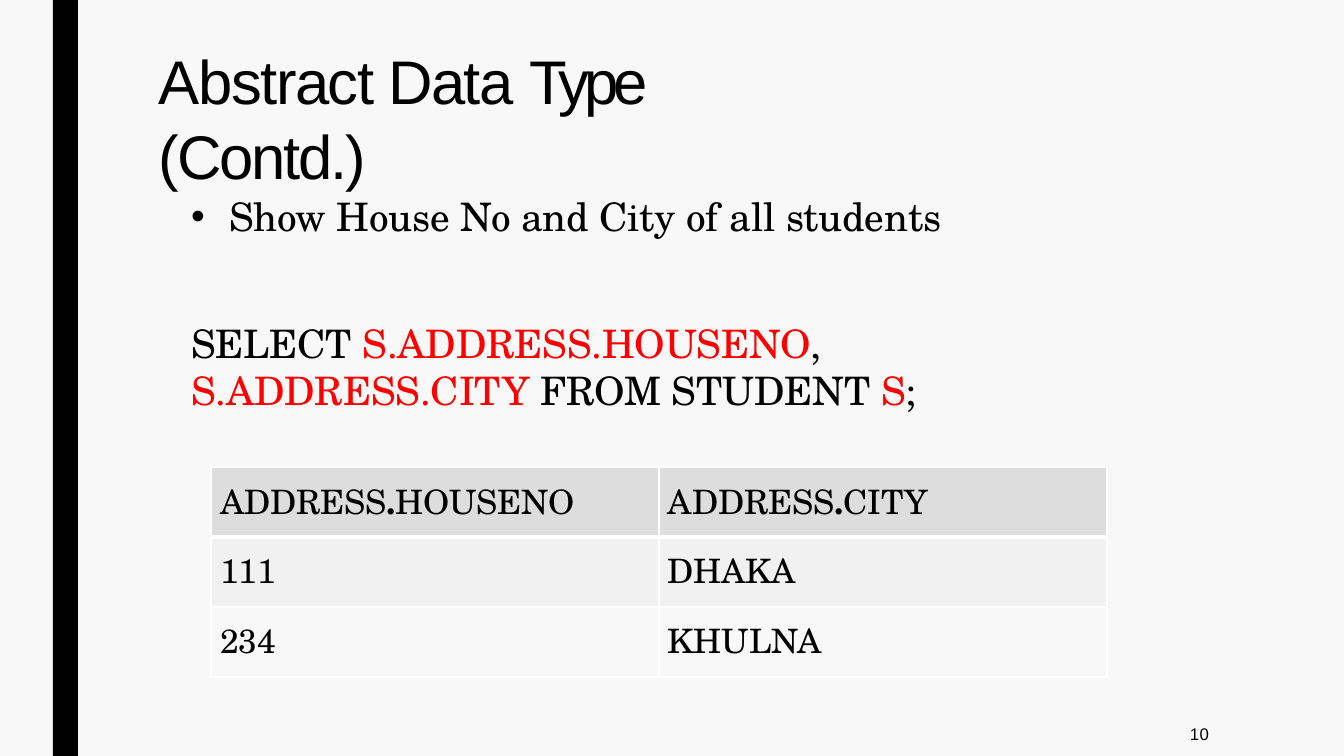
from lxml.etree import SubElement
from pptx import Presentation
from pptx.dml.color import RGBColor
from pptx.enum.shapes import MSO_SHAPE
from pptx.enum.text import MSO_ANCHOR, MSO_AUTO_SIZE, PP_ALIGN
from pptx.oxml.ns import qn
from pptx.util import Pt

BLACK, RED, WHITE, PAPER = "000000", "FF0000", "FFFFFF", "F8F8F8"
SANS, SERIF = "Arial", "TeX Gyre Schola"

TITLE = [("Abstract Data ", {"spacing": -1.1}),
         ("Type ", {"spacing": -3.7}),
         ("(Contd.)", {"spacing": -1.6})]
TASK = [("Show House No and City of all students", {})]
QUERY = [("SELECT ", {}), ("S.ADDRESS.HOUSENO", {"color": RED}), (", ", {}),
         ("S.ADDRESS.CITY", {"color": RED}), (" FROM STUDENT ", {}),
         ("S", {"color": RED}), (";", {})]
RESULT = [
    ("DDDDDD", [[("ADDRESS", {}), (".", {"bold": True}), (name, {})]
                for name in ("HOUSENO", "CITY")]),
    ("F1F1F1", [[("111", {})], [("DHAKA", {})]]),
    (PAPER, [[("234", {})], [("KHULNA", {})]]),
]
PAGE = [("10", {"spacing": 0.3})]

TITLE_FONT = {"name": SANS, "size": Pt(44), "bold": False}
BODY_FONT = {"name": SERIF, "size": Pt(28), "bold": False}
CELL_FONT = {"name": SERIF, "size": Pt(24), "bold": False}
PAGE_FONT = {"name": SANS, "size": Pt(12), "bold": False}
FLUSH = {"alignment": PP_ALIGN.LEFT, "space_before": Pt(0), "space_after": Pt(0)}

SLIDE_SIZE = (1344, 756)
BAR_BOX = (53, 0, 25, 756)
TITLE_BOX = (158, 42, 708, 77)
BODY_BOX = (176, 176, 975, 290)
TABLE_BOX = (211, 467, 896, 210)
PAGE_BOX = (1186, 724, 28, 22)


def px(length):
    return round(length * 914400 / 100.8)


def rgb(code):
    return RGBColor.from_string(code)


def apply(target, values):
    for key, value in values.items():
        setattr(target, key, value)


def place(part, box):
    apply(part, dict(zip(("left", "top", "width", "height"), map(px, box))))


def frame_up(frame, top_inset):
    apply(frame, {"margin_left": 0, "margin_right": 0, "margin_bottom": 0,
                  "margin_top": px(top_inset), "word_wrap": True,
                  "auto_size": MSO_AUTO_SIZE.NONE,
                  "vertical_anchor": MSO_ANCHOR.TOP})


def write(paragraph, pieces, font, indent=0, hanging=0, bullet=None, **layout):
    apply(paragraph, {**FLUSH, **layout})
    props = paragraph._p.get_or_add_pPr()
    props.set("marL", str(px(indent)))
    props.set("indent", str(px(-hanging)))
    if bullet:
        SubElement(props, qn("a:buFont"), typeface=SANS)
        SubElement(props, qn("a:buChar"), char=bullet)
    else:
        SubElement(props, qn("a:buNone"))
    for text, style in pieces:
        run = paragraph.add_run()
        run.text = text
        apply(run.font, font)
        run.font.bold = style.get("bold", False)
        run.font.color.rgb = rgb(style.get("color", BLACK))
        spacing = style.get("spacing", -0.1)
        run._r.get_or_add_rPr().set("spc", str(round(spacing * 100)))


def outline(cell, widths):
    for side, width in widths.items():
        line = SubElement(cell._tc.get_or_add_tcPr(), qn("a:ln" + side),
                          w=str(Pt(width)))
        fill = SubElement(line, qn("a:solidFill"))
        SubElement(fill, qn("a:srgbClr"), val=WHITE)


deck = Presentation()
deck.slide_width, deck.slide_height = map(px, SLIDE_SIZE)
slide = deck.slides.add_slide(deck.slide_layouts[1])
slide.background.fill.solid()
slide.background.fill.fore_color.rgb = rgb(PAPER)

bar = slide.shapes.add_shape(MSO_SHAPE.RECTANGLE, *map(px, BAR_BOX))
bar.shadow.inherit = False
bar.fill.solid()
bar.fill.fore_color.rgb = rgb(BLACK)
bar.line.fill.background()

title, body = slide.placeholders
place(title, TITLE_BOX)
frame_up(title.text_frame, 1)
write(title.text_frame.paragraphs[0], TITLE, TITLE_FONT, indent=1,
      line_spacing=Pt(53))

place(body, BODY_BOX)
frame_up(body.text_frame, 16)
write(body.text_frame.paragraphs[0], TASK, BODY_FONT, indent=53, hanging=38,
      bullet="•")
write(body.text_frame.add_paragraph(), QUERY, BODY_FONT, indent=15,
      space_before=Pt(57))

result = slide.shapes.add_table(len(RESULT), 2, *map(px, TABLE_BOX)).table
apply(result, {"first_row": False, "horz_banding": False})
for row, (shade, entries) in enumerate(RESULT):
    for column, entry in enumerate(entries):
        cell = result.cell(row, column)
        apply(cell, {"margin_left": 0, "margin_right": 0, "margin_bottom": 0,
                     "margin_top": px(8), "vertical_anchor": MSO_ANCHOR.TOP})
        write(cell.text_frame.paragraphs[0], entry, CELL_FONT, indent=9)
        outline(cell, {"L": 1, "R": 1, "T": 3 if row == 1 else 1,
                       "B": 3 if row == 0 else 1})
        cell.fill.solid()
        cell.fill.fore_color.rgb = rgb(shade)

page = slide.shapes.add_textbox(*map(px, PAGE_BOX))
frame_up(page.text_frame, 0)
write(page.text_frame.paragraphs[0], PAGE, PAGE_FONT, indent=4)

deck.save("out.pptx")
